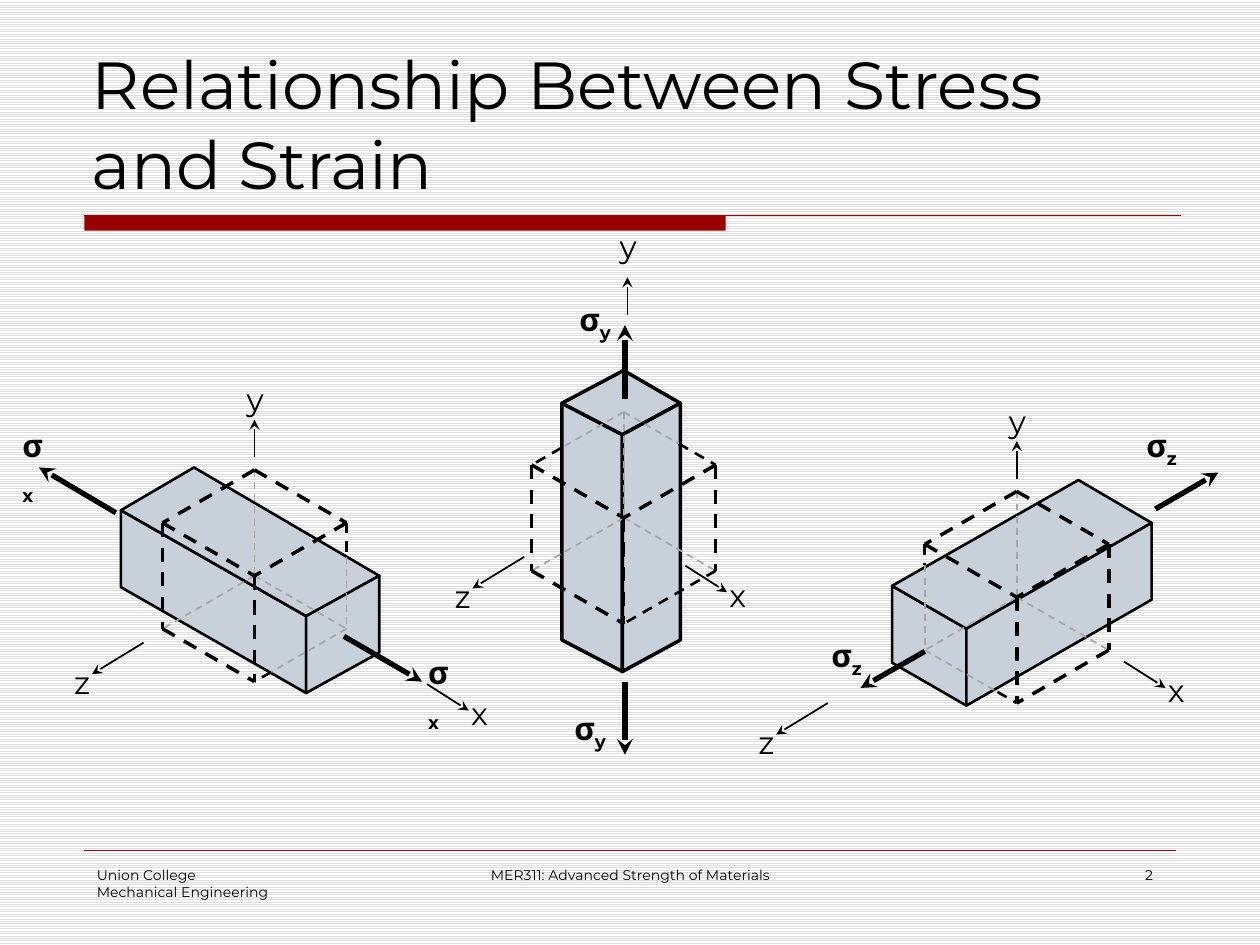
from lxml.etree import SubElement
from pptx import Presentation
from pptx.dml.color import RGBColor
from pptx.enum.dml import MSO_LINE, MSO_PATTERN
from pptx.enum.shapes import MSO_CONNECTOR, MSO_SHAPE
from pptx.enum.text import MSO_ANCHOR, MSO_AUTO_SIZE, PP_ALIGN
from pptx.oxml.ns import qn
from pptx.util import Inches, Pt

COLORS = {"ink": "000000", "accent": "990000", "face": "C8D1DA",
          "hidden": "A6A6A6", "stripe": "DDDDDD", "paper": "FFFFFF"}
FONT = "Montserrat"

# Undeformed cube: corner offsets from its nearest top corner
CORNERS = {"front": (0, 0), "back": (0, -0.84), "left": (-0.73, -0.42),
           "right": (0.73, -0.42), "low_left": (-0.73, 0.42),
           "low_right": (0.73, 0.42), "low_front": (0, 0.84)}
HIDDEN_EDGES = [("back", "front"), ("front", "low_left"), ("front", "low_right")]
EDGES = [("left", "front"), ("right", "front"), ("front", "low_front"),
         ("back", "left"), ("back", "right"), ("left", "low_left"),
         ("right", "low_right"), ("low_left", "low_front"),
         ("low_right", "low_front")]

# Dashed line styles: colour, width
VISIBLE, THIN, HIDDEN = ("ink", 2), ("ink", 1.5), ("hidden", 1)

# Axis: arrow vector, label offset from the tip, label width
AXES = {"x": ((0.33, 0.21), (-0.08, -0.18), 0.31),
        "y": ((0, -0.3), (-0.16, -0.36), 0.36),
        "z": ((-0.41, 0.25), (-0.24, -0.14), 0.35)}

# block: top face (back, right, front, left) and height
# split: edge -> fraction where the line style changes, style before, style after
# stress: arrow start, arrow tip, label corner
STATES = [
    {"name": "x", "center": (2.02, 4.57), "height": 0.61, "line": 1.5,
     "block": [(1.54, 3.71), (3.01, 4.57), (2.43, 4.89), (0.96, 4.05)],
     "split": {("right", "low_right"): (0.32, THIN, HIDDEN),
               ("low_right", "low_front"): (0.82, HIDDEN, THIN)},
     "axes": {"x": (3.39, 5.43), "y": (2.02, 3.63), "z": (1.14, 5.1)},
     "stress": [((2.73, 5.05), (3.35, 5.41), (3.3, 5.13)),
                ((0.92, 4.07), (0.31, 3.71), (0.08, 3.33))],
     "label": (0.26, 0.23)},
    {"name": "y", "center": (4.95, 4.11), "height": 1.88, "line": 2,
     "block": [(4.95, 2.94), (5.4, 3.2), (4.94, 3.45), (4.46, 3.2)],
     "split": {("back", "left"): (0.68, HIDDEN, THIN),
               ("back", "right"): (0.6, HIDDEN, THIN),
               ("low_right", "low_front"): (1, THIN, THIN)},
     "axes": {"x": (5.44, 4.49), "y": (4.98, 2.5), "z": (4.16, 4.42)},
     "y_lift": 0.09,
     "stress": [((4.96, 3.17), (4.96, 2.58), (4.5, 2.33)),
                ((4.96, 5.41), (4.96, 5.99), (4.46, 5.58))],
     "label": (0.46, 0.4)},
    {"name": "z", "center": (8.07, 4.74), "height": 0.61, "line": 1.5,
     "block": [(8.56, 3.81), (9.14, 4.15), (7.67, 4.99), (7.08, 4.65)],
     "split": {("left", "low_left"): (0.2, THIN, HIDDEN),
               ("low_left", "low_front"): (0.79, HIDDEN, THIN)},
     "axes": {"x": (8.92, 5.25), "y": (8.07, 3.8), "z": (6.57, 5.58)},
     "stress": [((7.34, 5.17), (6.83, 5.46), (6.5, 5)),
                ((9.17, 4.04), (9.67, 3.75), (9, 3.33))],
     "label": (0.45, 0.4)},
]


def rgb(name):
    return RGBColor.from_string(COLORS[name])


def shift(point, offset):
    return point[0] + offset[0], point[1] + offset[1]


def set_font(font, size, bold=False):
    for key, value in {"name": FONT, "size": Pt(size), "bold": bold}.items():
        setattr(font, key, value)
    font.color.rgb = rgb("ink")


def add_line(slide, start, end, color="ink", width=1, dash=False, arrow=False):
    ln = slide.shapes.add_connector(
        MSO_CONNECTOR.STRAIGHT, *[Inches(v) for v in (*start, *end)])
    ln.line.color.rgb = rgb(color)
    ln.line.width = Pt(width)
    if dash:
        ln.line.dash_style = MSO_LINE.DASH
    if arrow:
        SubElement(ln.line._get_or_add_ln(), qn("a:tailEnd"), type="stealth")
    SubElement(ln._element.spPr, qn("a:effectLst"))


def add_text(slide, box, lines, size, align=PP_ALIGN.LEFT, sub=None, wrap=True):
    """Add a text box; sub is a bold subscript that follows the last line."""
    tf = slide.shapes.add_textbox(*[Inches(v) for v in box]).text_frame
    tf.word_wrap = wrap
    for i, line in enumerate(lines):
        p = tf.paragraphs[0] if i == 0 else tf.add_paragraph()
        p.alignment = align
        r = p.add_run()
        r.text = line
        set_font(r.font, size, bold=sub is not None)
    if sub:
        r = p.add_run()
        r.text = sub
        set_font(r.font, size, bold=True)
        r.font._element.set("baseline", "-25000")


def add_block(slide, top, height, width):
    """Draw a solid block as a group of its three visible faces."""
    back, right, front, left = top
    low_right, low_front, low_left = [shift(c, (0, height)) for c in top[1:]]
    group = slide.shapes.add_group_shape()
    for face in ([left, front, low_front, low_left],
                 [back, right, front, left],
                 [front, right, low_right, low_front]):
        points = [(Inches(x), Inches(y)) for x, y in face]
        builder = group.shapes.build_freeform(*points[0])
        builder.add_line_segments(points[1:], close=True)
        sp = builder.convert_to_shape()
        sp.shadow.inherit = False
        sp.fill.solid()
        sp.fill.fore_color.rgb = rgb("face")
        sp.line.color.rgb = rgb("ink")
        sp.line.width = Pt(width)


def add_cube(slide, center, split):
    """Draw the dashed outline of the undeformed cube."""
    def corner(name):
        return shift(center, CORNERS[name])

    for a, b in HIDDEN_EDGES:
        add_line(slide, corner(a), corner(b), *HIDDEN, dash=True)
    for edge in EDGES:
        start, end = map(corner, edge)
        at, before, after = split.get(edge, (1, VISIBLE, VISIBLE))
        middle = tuple(s + at * (e - s) for s, e in zip(start, end))
        add_line(slide, start, middle, *before, dash=True)
        if at < 1:
            add_line(slide, middle, end, *after, dash=True)


def add_axes(slide, starts, y_lift):
    for name, start in starts.items():
        vector, offset, width = AXES[name]
        tip = shift(start, vector)
        add_line(slide, start, tip, arrow=True)
        x, y = shift(tip, offset)
        if name == "y":
            y -= y_lift
        add_text(slide, (x, y, width, 0.4), [name], 18, wrap=name != "y")


def add_state(slide, state):
    add_block(slide, state["block"], state["height"], state["line"])
    add_cube(slide, state["center"], state["split"])
    add_axes(slide, state["axes"], state.get("y_lift", 0))
    for start, tip, label in state["stress"]:
        add_line(slide, start, tip, width=3, arrow=True)
        add_text(slide, (*label, *state["label"]), ["σ"], 18,
                 sub=state["name"], wrap=state["name"] == "x")


def add_title(slide, text):
    title = slide.shapes.title
    box = {"left": 0.63, "top": 0.33, "width": 8.75, "height": 1.33}
    for key, value in box.items():
        setattr(title, key, Inches(value))
    tf = title.text_frame
    tf.text = text
    tf.word_wrap = True
    tf.auto_size = MSO_AUTO_SIZE.NONE
    tf.vertical_anchor = MSO_ANCHOR.BOTTOM
    p = tf.paragraphs[0]
    p.alignment = PP_ALIGN.LEFT
    set_font(p.runs[0].font, 38)


def add_frame(slide):
    """Striped background, title rule and footer."""
    fill = slide.background.fill
    fill.patterned()
    fill.pattern = MSO_PATTERN.LIGHT_HORIZONTAL
    fill.fore_color.rgb = rgb("stripe")
    fill.back_color.rgb = rgb("paper")

    bar = slide.shapes.add_shape(MSO_SHAPE.RECTANGLE, Inches(0.67), Inches(1.71),
                                 Inches(5.09), Inches(0.12))
    bar.shadow.inherit = False
    bar.fill.solid()
    bar.fill.fore_color.rgb = rgb("accent")
    bar.line.fill.background()
    add_line(slide, (0.67, 1.71), (9.37, 1.71), "accent", 0.75)
    add_line(slide, (0.67, 6.75), (9.33, 6.75), "accent", 0.25)

    for left, width, lines, align in (
            (0.67, 2.08, ["Union College", "Mechanical Engineering"], PP_ALIGN.LEFT),
            (3.42, 3.17, ["MER311: Advanced Strength of Materials"], PP_ALIGN.CENTER),
            (7.17, 2.08, ["2"], PP_ALIGN.RIGHT)):
        add_text(slide, (left, 6.83, width, 0.5), lines, 8, align)


def main():
    prs = Presentation()
    prs.slide_width, prs.slide_height = Inches(10), Inches(7.5)
    slide = prs.slides.add_slide(prs.slide_layouts[5])
    add_frame(slide)
    add_title(slide, "Relationship Between Stress and Strain")
    for state in STATES:
        add_state(slide, state)
    prs.save("out.pptx")


if __name__ == "__main__":
    main()
